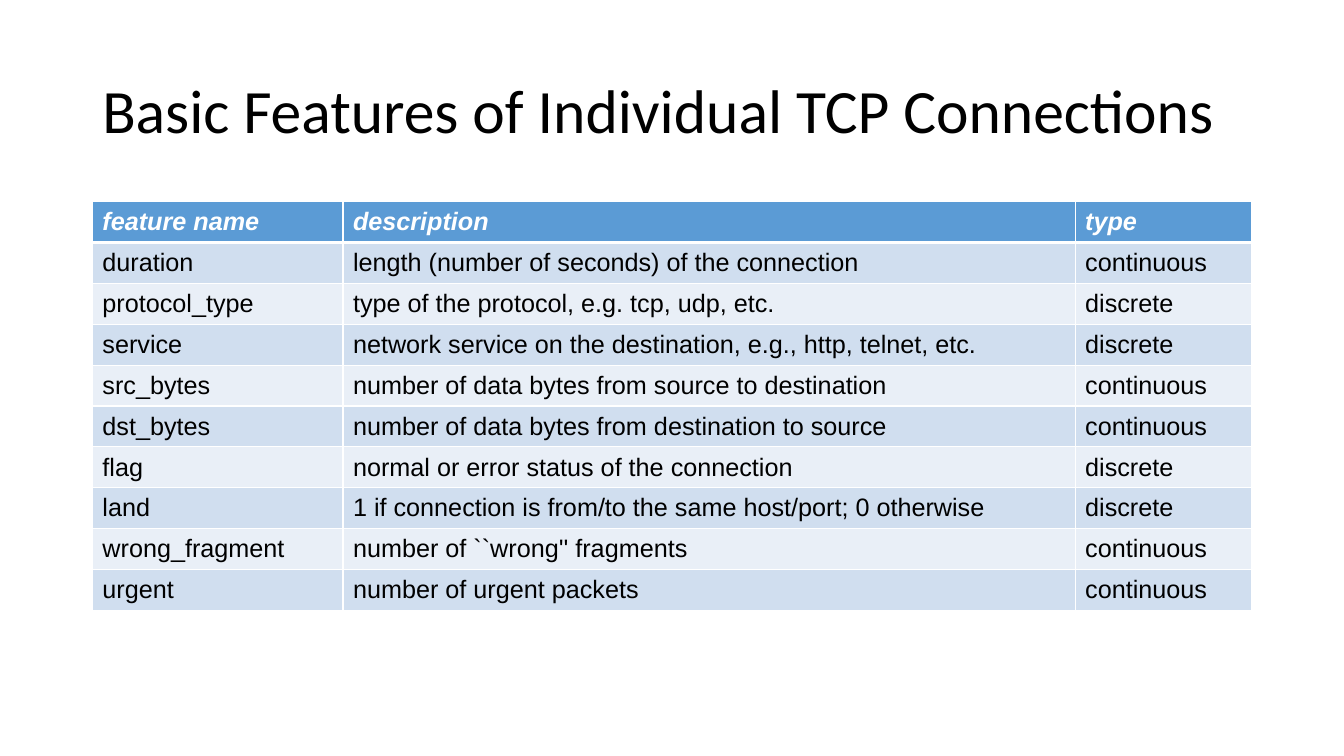
from typing import NamedTuple

from lxml.etree import SubElement
from pptx import Presentation
from pptx.dml.color import RGBColor
from pptx.enum.text import MSO_ANCHOR
from pptx.oxml.ns import qn
from pptx.slide import Slide
from pptx.table import _Cell
from pptx.util import Pt

WHITE = RGBColor(0xFF, 0xFF, 0xFF)
BLACK = RGBColor(0x00, 0x00, 0x00)
HEADER_BLUE = RGBColor(0x5B, 0x9B, 0xD5)
BAND_DARK = RGBColor(0xD0, 0xDE, 0xEF)
BAND_LIGHT = RGBColor(0xE9, 0xEF, 0xF7)

LEFT = Pt(66)
TABLE_TOP = Pt(144)
ROW_HEIGHT = Pt(29.2)
COLUMN_WIDTHS = [Pt(179), Pt(523), Pt(126)]
THIN, THICK = Pt(1), Pt(3)


class Feature(NamedTuple):
    """One table row: a connection feature."""
    name: str
    description: str
    kind: str


HEADER = Feature("feature name", "description", "type")
FEATURES = [
    Feature("duration", "length (number of seconds) of the connection", "continuous"),
    Feature("protocol_type", "type of the protocol, e.g. tcp, udp, etc.", "discrete"),
    Feature("service", "network service on the destination, e.g., http, telnet, etc.", "discrete"),
    Feature("src_bytes", "number of data bytes from source to destination", "continuous"),
    Feature("dst_bytes", "number of data bytes from destination to source", "continuous"),
    Feature("flag", "normal or error status of the connection", "discrete"),
    Feature("land", "1 if connection is from/to the same host/port; 0 otherwise", "discrete"),
    Feature("wrong_fragment", "number of ``wrong'' fragments", "continuous"),
    Feature("urgent", "number of urgent packets", "continuous"),
]


def add_title(s: Slide, text: str) -> None:
    """Add the slide title."""
    tf = s.shapes.add_textbox(LEFT, Pt(29), Pt(828), Pt(104)).text_frame
    tf.word_wrap = True
    tf.vertical_anchor = MSO_ANCHOR.MIDDLE
    p = tf.paragraphs[0]
    p.text = text
    p.line_spacing = 0.9
    p.font.name, p.font.size = "Calibri", Pt(44)
    p.font.color.rgb = BLACK


def set_borders(cell: _Cell, top: int, bottom: int) -> None:
    """Give a cell white borders; must run before its fill is set."""
    tc_pr = cell._tc.get_or_add_tcPr()
    for side, width in (("L", THIN), ("R", THIN), ("T", top), ("B", bottom)):
        line = SubElement(tc_pr, qn(f"a:ln{side}"), w=str(width))
        fill = SubElement(line, qn("a:solidFill"))
        SubElement(fill, qn("a:srgbClr"), val=str(WHITE))


def fill_cell(cell: _Cell, text: str, row: int) -> None:
    """Write and style one cell according to its row."""
    is_header = row == 0
    set_borders(cell, THICK if row == 1 else THIN, THICK if is_header else THIN)
    cell.fill.solid()
    band = BAND_DARK if row % 2 else BAND_LIGHT
    cell.fill.fore_color.rgb = HEADER_BLUE if is_header else band
    cell.vertical_anchor = MSO_ANCHOR.MIDDLE
    p = cell.text_frame.paragraphs[0]
    p.text = text
    p.font.name, p.font.size = "Arial", Pt(18)
    p.font.bold = p.font.italic = is_header
    p.font.color.rgb = WHITE if is_header else BLACK


def add_feature_table(s: Slide, rows: list[Feature]) -> None:
    """Add the table of features, header first."""
    table = s.shapes.add_table(len(rows), len(COLUMN_WIDTHS), LEFT, TABLE_TOP,
                               sum(COLUMN_WIDTHS), ROW_HEIGHT * len(rows)).table
    for column, width in zip(table.columns, COLUMN_WIDTHS):
        column.width = width
    for i, feature in enumerate(rows):
        table.rows[i].height = ROW_HEIGHT
        for j, text in enumerate(feature):
            fill_cell(table.cell(i, j), text, i)


prs = Presentation()
prs.slide_width, prs.slide_height = Pt(960), Pt(540)
s = prs.slides.add_slide(prs.slide_layouts[6])
add_title(s, "Basic Features of Individual TCP Connections")
add_feature_table(s, [HEADER, *FEATURES])
prs.save("out.pptx")
